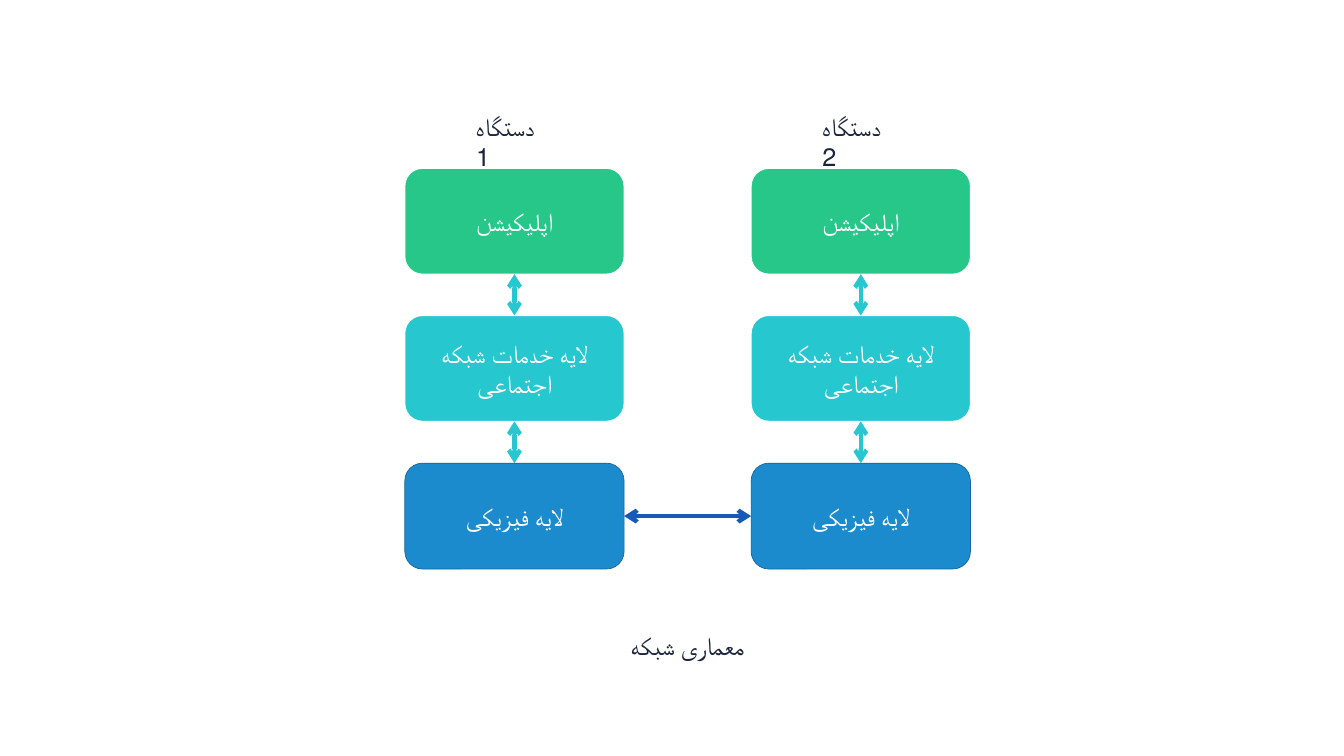
from pptx import Presentation
from pptx.dml.color import RGBColor
from pptx.enum.shapes import MSO_CONNECTOR, MSO_SHAPE
from pptx.enum.text import MSO_ANCHOR, MSO_AUTO_SIZE, PP_ALIGN
from pptx.oxml.ns import qn
from pptx.util import Inches, Pt
from lxml import etree

ROUNDED, STRAIGHT = MSO_SHAPE.ROUNDED_RECTANGLE, MSO_CONNECTOR.STRAIGHT
LEFT, CENTER, MIDDLE = PP_ALIGN.LEFT, PP_ALIGN.CENTER, MSO_ANCHOR.MIDDLE
GROW = MSO_AUTO_SIZE.SHAPE_TO_FIT_TEXT

# Content: devices are columns, layers are rows from top to bottom
COLORS = {"green": "27C78A", "teal": "27C7CF", "blue": "1B8BCD", "edge": "146798",
          "link": "165AB6", "ink": "1B243B", "white": "FFFFFF"}
DEVICES = [("دستگاه 1", 8.03), ("دستگاه 2", 14.9)]
LAYERS = [  # text, top, fill, outline, outline width
    ("اپلیکیشن", 3.34, "green", "white", 1.5),
    ("لایه خدمات شبکه اجتماعی", 6.26, "teal", "white", 1.5),
    ("لایه فیزیکی", 9.19, "blue", "edge", 1),
]
CAPTION = "معماری شبکه"
BOX_W, BOX_H = 4.35, 2.1
LABEL_W, LABEL_H = 1.72, 0.71


def color(name):
    return RGBColor.from_string(COLORS[name])


def write(shape, text, ink, align):
    tf = shape.text_frame
    tf.word_wrap = True
    tf.text = text
    p = tf.paragraphs[0]
    p.alignment = align
    font = p.runs[0].font
    font.size, font.name = Pt(36), "Calibri"
    font.color.rgb = color(ink)


def add_label(text, left, top, width):
    box = s.shapes.add_textbox(Inches(left), Inches(top), Inches(width), Inches(LABEL_H))
    write(box, text, "ink", LEFT)
    box.text_frame.auto_size = GROW


def add_layer(text, left, top, fill, edge, edge_width):
    sp = s.shapes.add_shape(ROUNDED, Inches(left), Inches(top), Inches(BOX_W), Inches(BOX_H))
    sp.shadow.inherit = False
    sp.fill.solid()
    sp.fill.fore_color.rgb = color(fill)
    sp.line.color.rgb = color(edge)
    sp.line.width = Pt(edge_width)
    write(sp, text, "white", CENTER)
    sp.text_frame.vertical_anchor = MIDDLE


def add_arrow(x1, y1, x2, y2, stroke):
    line = s.shapes.add_connector(STRAIGHT, Inches(x1), Inches(y1), Inches(x2), Inches(y2))
    line.line.color.rgb = color(stroke)
    line.line.width = Pt(6)
    props = line.element.spPr
    for end in ("a:headEnd", "a:tailEnd"):
        etree.SubElement(props.find(qn("a:ln")), qn(end), type="arrow")
    etree.SubElement(props, qn("a:effectLst"))


prs = Presentation()
prs.slide_width, prs.slide_height = Inches(26.66), Inches(15)
s = prs.slides.add_slide(prs.slide_layouts[6])

# Device stacks with arrows between neighbouring layers
for device, left in DEVICES:
    center = left + BOX_W / 2
    for text, top, *style in LAYERS:
        add_layer(text, left, top, *style)
    for upper, lower in zip(LAYERS, LAYERS[1:]):
        add_arrow(center, upper[1] + BOX_H, center, lower[1], "teal")
    add_label(device, left + (BOX_W - LABEL_W) / 2, 2.16, LABEL_W)

# Link between the physical layers
link_y = LAYERS[-1][1] + BOX_H / 2
add_arrow(DEVICES[0][1] + BOX_W, link_y, DEVICES[1][1], link_y, "link")

# Caption
add_label(CAPTION, 12.41, 12.45, 2.48)

prs.save("out.pptx")
